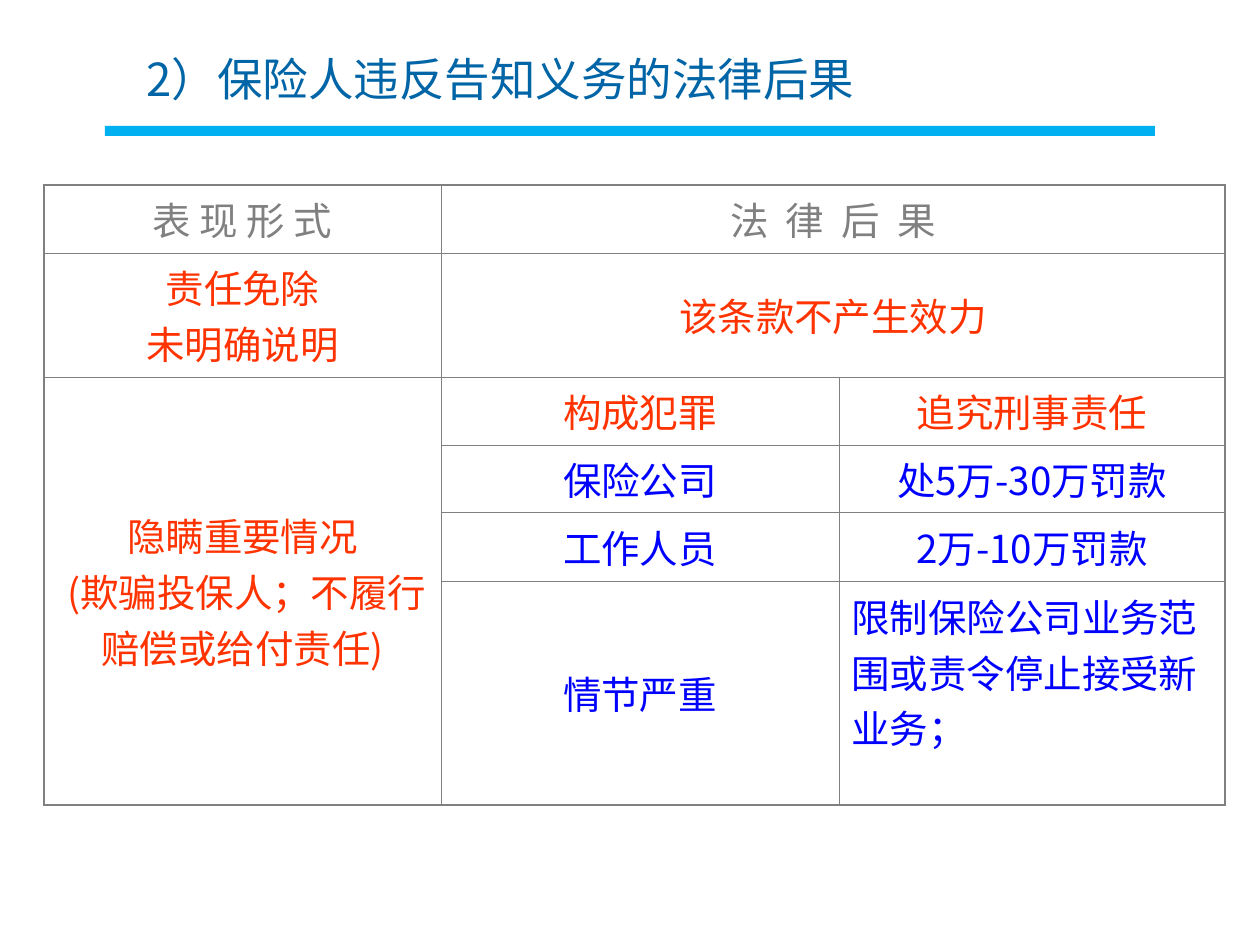
from itertools import product

from lxml.etree import SubElement
from pptx import Presentation
from pptx.dml.color import RGBColor
from pptx.enum.shapes import MSO_SHAPE
from pptx.enum.text import MSO_ANCHOR, PP_ALIGN
from pptx.oxml.ns import qn
from pptx.util import Pt

EMU_PER_PX = 914400 // 126
FONT = "Noto Sans CJK SC"
BAR_BLUE = RGBColor(0x00, 0xB0, 0xF0)
TITLE_BLUE = RGBColor(0x00, 0x65, 0xA6)
GRAY = RGBColor(0x80, 0x80, 0x80)
RED = RGBColor(0xFF, 0x33, 0x00)
BLUE = RGBColor(0x00, 0x00, 0xFF)
OUTER_LINE, INNER_LINE = Pt(1.08), Pt(0.45)

TITLE = "2）保险人违反告知义务的法律后果"
COLUMN_WIDTHS = [397, 398, 386]
ROW_HEIGHTS = [68, 124, 68, 68, 69, 223]
# row, column, rows spanned, columns spanned, colour, text
CELLS = [
    (0, 0, 1, 1, GRAY, "表 现 形 式"),
    (0, 1, 1, 2, GRAY, "法  律  后  果"),
    (1, 0, 1, 1, RED, "责任免除\n未明确说明"),
    (1, 1, 1, 2, RED, "该条款不产生效力"),
    (2, 0, 4, 1, RED, "隐瞒重要情况\n (欺骗投保人；不履行赔偿或给付责任)"),
    (2, 1, 1, 1, RED, "构成犯罪"),
    (2, 2, 1, 1, RED, "追究刑事责任"),
    (3, 1, 1, 1, BLUE, "保险公司"),
    (3, 2, 1, 1, BLUE, "处5万-30万罚款"),
    (4, 1, 1, 1, BLUE, "工作人员"),
    (4, 2, 1, 1, BLUE, "2万-10万罚款"),
    (5, 1, 1, 1, BLUE, "情节严重"),
    (5, 2, 1, 1, BLUE, "限制保险公司业务范围或责令停止接受新业务；"),
]
LONG_TEXT_CELL = (5, 2)


def px(value):
    return value * EMU_PER_PX


def format_text(text_frame, size, color):
    for paragraph in text_frame.paragraphs:
        for run in paragraph.runs:
            run.font.size = Pt(size)
            run.font.name = FONT
            run.font.color.rgb = color
            SubElement(run.font._element, qn("a:ea"), typeface=FONT)


def add_border(cell, side, width):
    line = SubElement(cell._tc.get_or_add_tcPr(), qn(f"a:ln{side}"), w=str(width))
    fill = SubElement(line, qn("a:solidFill"))
    SubElement(fill, qn("a:srgbClr"), val=str(GRAY))


def frame_block(table, top, left, row_span, column_span):
    """Border a block of cells: thick on the table's edge, thin inside it."""
    bottom, right = top + row_span, left + column_span
    outer = {"L": left == 0, "R": right == len(COLUMN_WIDTHS),
             "T": top == 0, "B": bottom == len(ROW_HEIGHTS)}
    for row, column in product(range(top, bottom), range(left, right)):
        cell = table.cell(row, column)
        is_origin = (row, column) == (top, left)
        on_edge = {"L": column == left, "R": column == right - 1,
                   "T": row == top, "B": row == bottom - 1}
        for side, is_outer in outer.items():
            if is_origin or on_edge[side]:
                add_border(cell, side, OUTER_LINE if is_outer else INNER_LINE)
        cell.fill.background()


def add_title(slide):
    bar = slide.shapes.add_shape(MSO_SHAPE.RECTANGLE, px(105), px(126), px(1050), px(10))
    bar.shadow.inherit = False
    bar.fill.solid()
    bar.fill.fore_color.rgb = BAR_BLUE
    bar.line.fill.background()

    title = slide.shapes.add_textbox(px(134), px(55), px(1160), px(89)).text_frame
    title.word_wrap = True
    title.text = TITLE
    title.paragraphs[0].line_spacing = 0.8
    format_text(title, 26, TITLE_BLUE)


def add_consequence_table(slide):
    table = slide.shapes.add_table(
        len(ROW_HEIGHTS), len(COLUMN_WIDTHS), px(44), px(185),
        px(sum(COLUMN_WIDTHS)), px(sum(ROW_HEIGHTS))).table
    table.first_row = table.horz_banding = False
    for column, width in zip(table.columns, COLUMN_WIDTHS):
        column.width = px(width)
    for row, height in zip(table.rows, ROW_HEIGHTS):
        row.height = px(height)

    for top, left, row_span, column_span, color, text in CELLS:
        cell = table.cell(top, left)
        if row_span * column_span > 1:
            cell.merge(table.cell(top + row_span - 1, left + column_span - 1))
        frame_block(table, top, left, row_span, column_span)
        is_long = (top, left) == LONG_TEXT_CELL
        cell.vertical_anchor = MSO_ANCHOR.TOP if is_long else MSO_ANCHOR.MIDDLE
        cell.text_frame.text = text
        for paragraph in cell.text_frame.paragraphs:
            paragraph.alignment = PP_ALIGN.LEFT if is_long else PP_ALIGN.CENTER
        format_text(cell.text_frame, 22, color)


def main():
    presentation = Presentation()
    presentation.slide_width, presentation.slide_height = px(1260), px(945)
    slide = presentation.slides.add_slide(presentation.slide_layouts[6])
    add_title(slide)
    add_consequence_table(slide)
    presentation.save("out.pptx")


if __name__ == "__main__":
    main()
